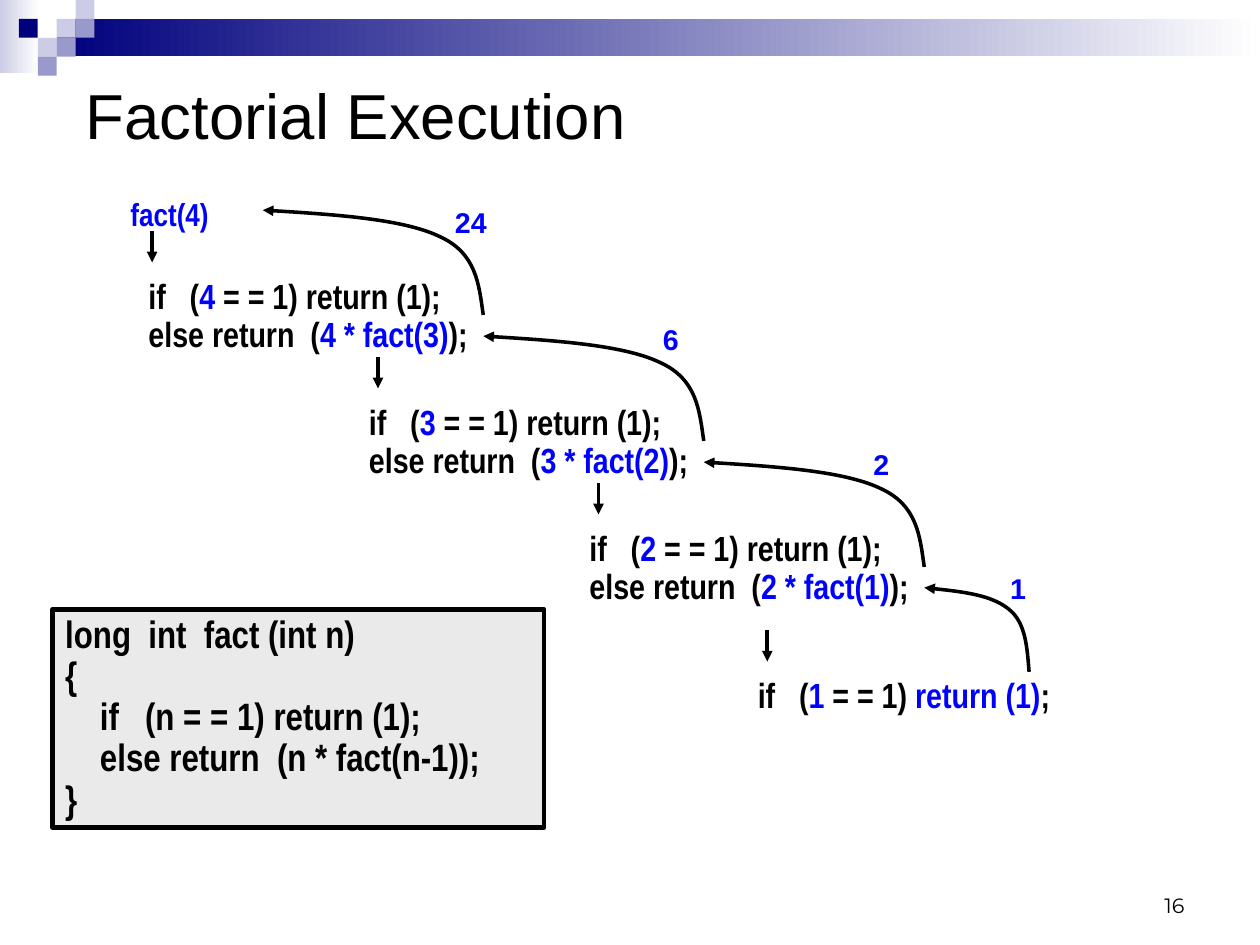
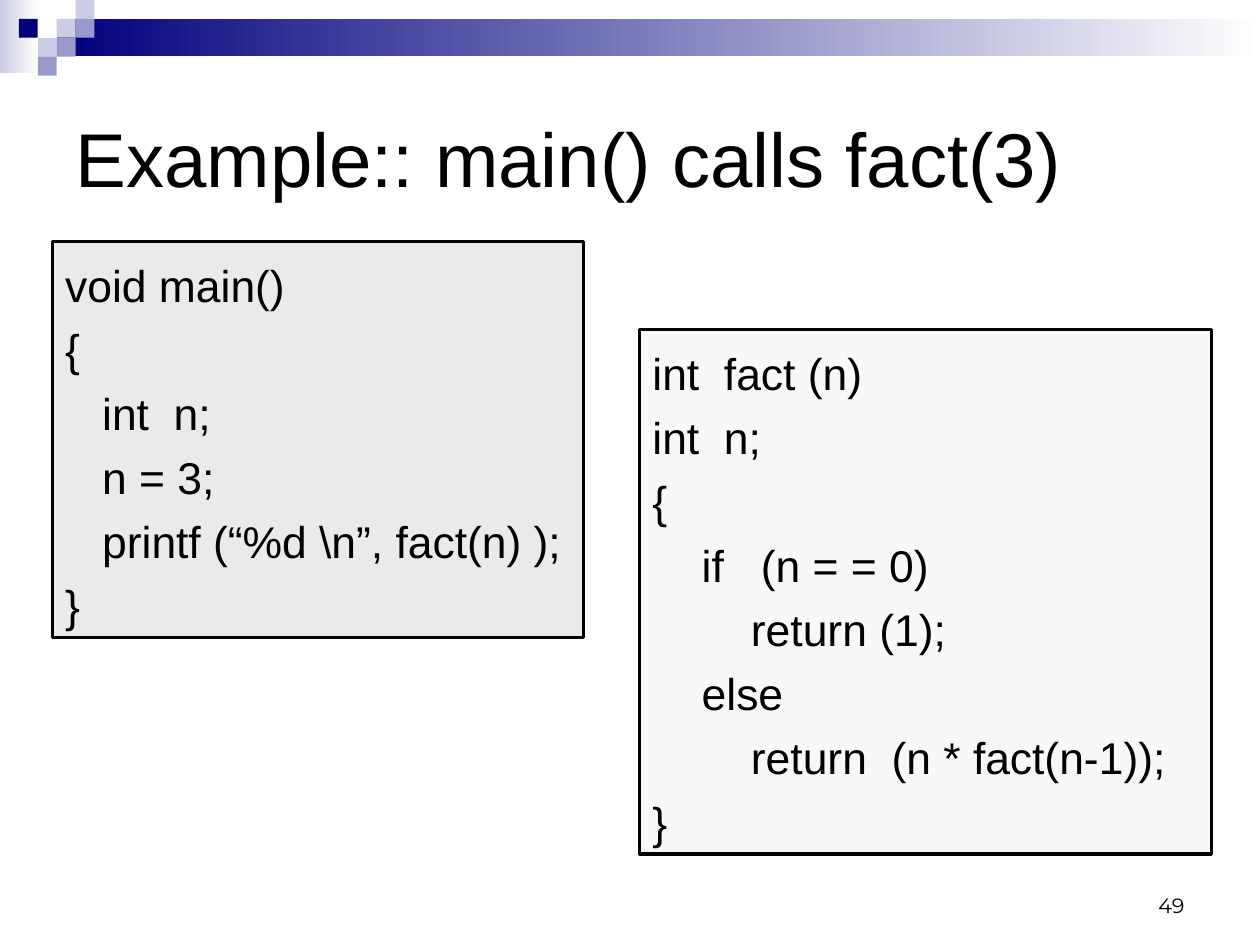
from dataclasses import dataclass

from lxml import etree
from pptx import Presentation
from pptx import util as u
from pptx.dml.color import RGBColor
from pptx.enum import shapes, text
from pptx.oxml.ns import qn


@dataclass(frozen=True)
class Theme:
    black: str = "000000"
    blue: str = "0000FF"
    navy: str = "00007D"
    mid: str = "9999CC"
    pale: str = "CCCCE6"
    white: str = "FFFFFF"
    grey: str = "EAEAEA"
    light_grey: str = "F8F8F8"
    sans: str = "Arial"
    narrow: str = "Arial Narrow"
    number_font: str = "Montserrat"
    number_size: float = 13
    result_size: float = 18
    call_size: float = 20
    step_size: float = 22
    bold_code_size: float = 24
    code_size: float = 28
    small_title_size: float = 40
    title_size: float = 48
    arrow_width: float = 2.25


THEME = Theme()

# Bezier points of a return arrow, as fractions of its width and height
RETURN_CURVE = [(1, 1), (0.98, 0.71), (0.97, 0.41), (0.8, 0.25),
                (0.64, 0.09), (0.32, 0.04), (0, 0)]
UNIT = 0.42  # side of a masthead square, cm
SQUARES = [(3, 1, THEME.pale), (4, 0, THEME.pale), (4, 1, THEME.mid),
           (2, 2, THEME.pale), (1, 1, THEME.navy), (3, 2, THEME.mid),
           (2, 3, THEME.mid)]


def rgb(colour):
    return RGBColor.from_string(colour)


def cm(*lengths):
    return [u.Cm(length) for length in lengths]


class SlideBuilder:
    def __init__(self, deck, theme):
        self.deck = deck
        self.theme = theme
        self.slide = None

    def new_slide(self, title, number, title_area, title_size):
        theme = self.theme
        self.slide = self.deck.slides.add_slide(self.deck.slide_layouts[6])
        self.masthead()
        self.label(title, title_area, theme.sans, title_size,
                   anchor=text.MSO_ANCHOR.MIDDLE)
        self.label(str(number), (20.07, 19.13, 6.53, 1.4), theme.number_font,
                   theme.number_size, anchor=text.MSO_ANCHOR.BOTTOM,
                   align=text.PP_ALIGN.RIGHT)

    def masthead(self):
        theme = self.theme
        self.rectangle((0, 0, 0.86, 1.63), theme.pale, theme.white)
        self.rectangle((1.27, UNIT, 26.73, 0.83), theme.navy, theme.white)
        for column, row, colour in SQUARES:
            self.rectangle((column * UNIT, row * UNIT, UNIT, UNIT), colour)

    def rectangle(self, area, colour, fade_to=None):
        box = self.slide.shapes.add_shape(
            shapes.MSO_SHAPE.RECTANGLE, *cm(*area))
        box.shadow.inherit = False
        box.line.fill.background()
        if fade_to:
            box.fill.gradient()
            box.fill.gradient_angle = 0
            for stop, end in zip(box.fill.gradient_stops, (colour, fade_to)):
                stop.color.rgb = rgb(end)
        else:
            box.fill.solid()
            box.fill.fore_color.rgb = rgb(colour)
        return box

    def set_text(self, box, lines, font, size, bold=False, spacing=None,
                 colour=None, anchor=text.MSO_ANCHOR.TOP,
                 align=text.PP_ALIGN.LEFT, wrap=True):
        """Fill a box; a line given as a tuple alternates plain and blue spans."""
        frame = box.text_frame
        frame.word_wrap = wrap
        frame.vertical_anchor = anchor
        frame.margin_left = frame.margin_right = u.Cm(0.28)
        frame.margin_top = frame.margin_bottom = u.Cm(0.14)
        for index, line in enumerate(lines):
            para = frame.add_paragraph() if index else frame.paragraphs[0]
            para.alignment = align
            para.line_spacing = spacing
            para.font.name = font
            para.font.size = u.Pt(size)
            para.font.bold = bold
            para.font.color.rgb = rgb(colour or self.theme.black)
            spans = (line,) if isinstance(line, str) else line
            for position, words in enumerate(spans):
                span = para.add_run()
                span.text = words
                if position % 2:
                    span.font.color.rgb = rgb(self.theme.blue)

    def label(self, words, area, font, size, **style):
        self.block([words], area, font, size, **style)

    def block(self, lines, area, font, size, **style):
        box = self.slide.shapes.add_textbox(*cm(*area))
        self.set_text(box, lines, font, size, **style)

    def listing(self, code, area, fill, border, font, size, **style):
        box = self.rectangle(area, fill)
        box.line.color.rgb = rgb(self.theme.black)
        box.line.width = u.Pt(border)
        self.set_text(box, code.strip("\n").split("\n"), font, size, **style)

    def finish_arrow(self, arrow):
        arrow.line.color.rgb = rgb(self.theme.black)
        arrow.line.width = u.Pt(self.theme.arrow_width)
        properties = arrow.element.spPr
        etree.SubElement(properties.find(qn("a:ln")), qn("a:tailEnd"),
                         type="triangle")
        etree.SubElement(properties, qn("a:effectLst"))

    def down_arrow(self, x, y, length=0.7):
        arrow = self.slide.shapes.add_connector(
            shapes.MSO_CONNECTOR.STRAIGHT, *cm(x, y, x, y + length))
        self.finish_arrow(arrow)

    def return_arrow(self, left, top, width, height):
        """Curve from the lower right corner to a head at the upper left."""
        points = [cm(left + x * width, top + y * height)
                  for x, y in RETURN_CURVE]
        builder = self.slide.shapes.build_freeform(*points[0])
        builder.add_line_segments(points[1:], close=False)
        arrow = builder.convert_to_shape()
        arrow.fill.background()
        segments = list(arrow.element.iter(qn("a:lnTo")))
        outline = segments[0].getparent()
        for start in range(0, len(segments), 3):
            curve = etree.SubElement(outline, qn("a:cubicBezTo"))
            for segment in segments[start:start + 3]:
                curve.append(segment[0])
                outline.remove(segment)
        self.finish_arrow(arrow)


def execution_slide(builder):
    theme = builder.theme
    builder.new_slide("Factorial Execution", 16, (1.63, 1.6, 26.37, 1.88),
                      theme.small_title_size)
    step = dict(font=theme.narrow, size=theme.step_size, bold=True, spacing=0.9)
    builder.label("fact(4)", (2.62, 4.19, 2.3, 1.12), theme.narrow,
                  theme.call_size, bold=True, colour=theme.blue, wrap=False)

    across, down = 4.9, 2.8  # offset from one call to the next
    for depth, n in enumerate((4, 3, 2)):
        x, y = depth * across, depth * down
        builder.block([("if   (", f"{n}", " = = 1) return (1);"),
                       ("else return  (", f"{n} * fact({n - 1})", ");")],
                      (3.02 + x, 6.07 + y, 8.4, 1.96), **step)
        builder.return_arrow(5.84 + x, 4.67 + y, across, 2.33)
    builder.block([("if   (", "1", " = = 1) ", "return (1)", ";")],
                  (16.56, 14.94, 8.4, 1.12), **step)
    builder.return_arrow(20.54, 13.06, 2.33, 1.87)

    for x, y in ((3.38, 5.13), (8.4, 7.93), (13.3, 10.73), (17.05, 14)):
        builder.down_arrow(x, y)
    for result, x, y in (("24", 9.83, 4.42), ("6", 14.45, 7.01),
                         ("2", 19.13, 9.8), ("1", 22.17, 12.55)):
        builder.label(result, (x, y, 0.56 + 0.36 * len(result), 1.04),
                      theme.sans, theme.result_size, bold=True,
                      colour=theme.blue, wrap=False)

    builder.listing("""
long  int  fact (int n)
{
    if   (n = = 1) return (1);
    else return  (n * fact(n-1));
}
""", (1.17, 13.54, 10.92, 4.85), theme.grey, 3, theme.narrow,
                    theme.bold_code_size, bold=True, spacing=0.9)


def example_slide(builder):
    theme = builder.theme
    builder.new_slide("Example:: main() calls fact(3)", 49,
                      (1.4, 1.4, 25.2, 4.2), theme.title_size)
    code = dict(border=2, font=theme.sans, size=theme.code_size, spacing=1.2)
    builder.listing("""
int  fact (n)
int  n;
{
    if   (n = = 0)
        return (1);
    else
        return  (n * fact(n-1));
}
""", (14.22, 7.32, 12.7, 11.66), theme.light_grey, **code)
    builder.listing(r"""
void main()
{
   int  n;
   n = 3;
   printf (“%d \n”, fact(n) );
}
""", (1.17, 5.36, 11.79, 8.81), theme.grey, **code)


def main():
    deck = Presentation()
    deck.slide_width, deck.slide_height = cm(28, 21)
    builder = SlideBuilder(deck, THEME)
    execution_slide(builder)
    example_slide(builder)
    deck.save("out.pptx")


if __name__ == "__main__":
    main()
